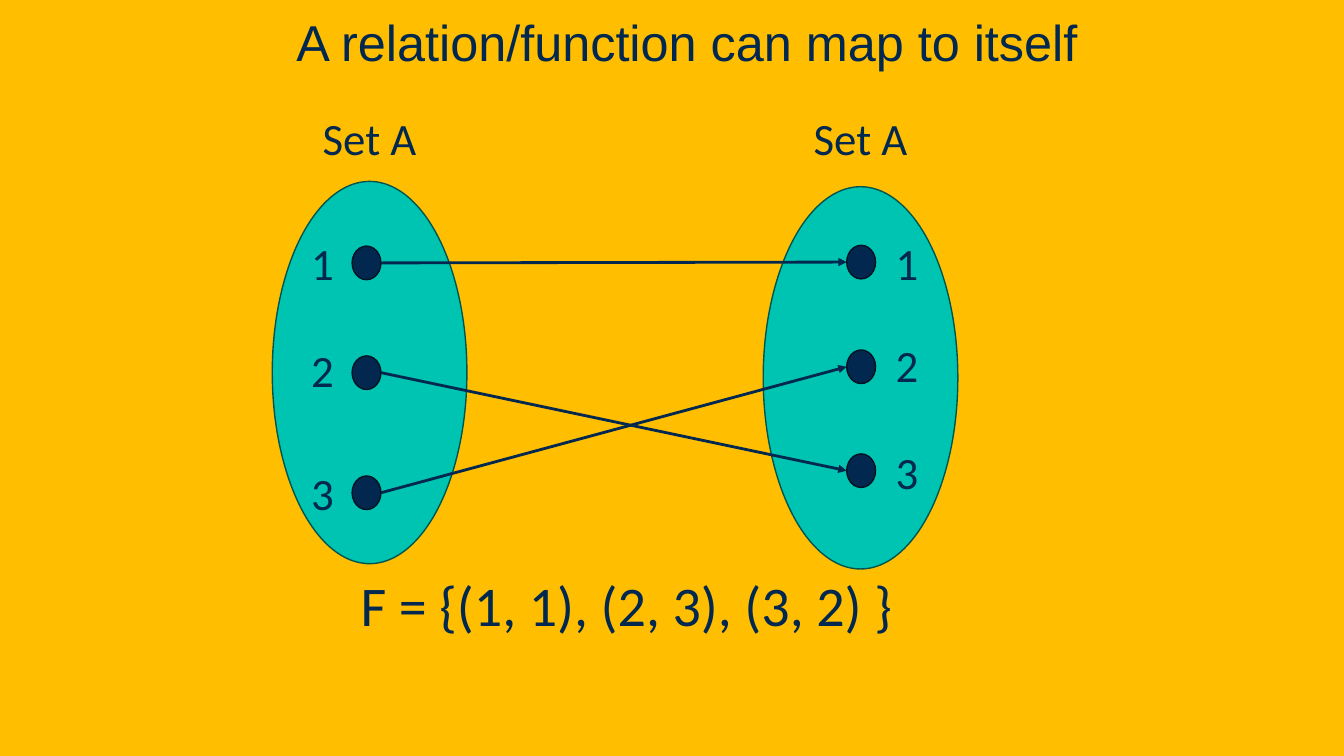
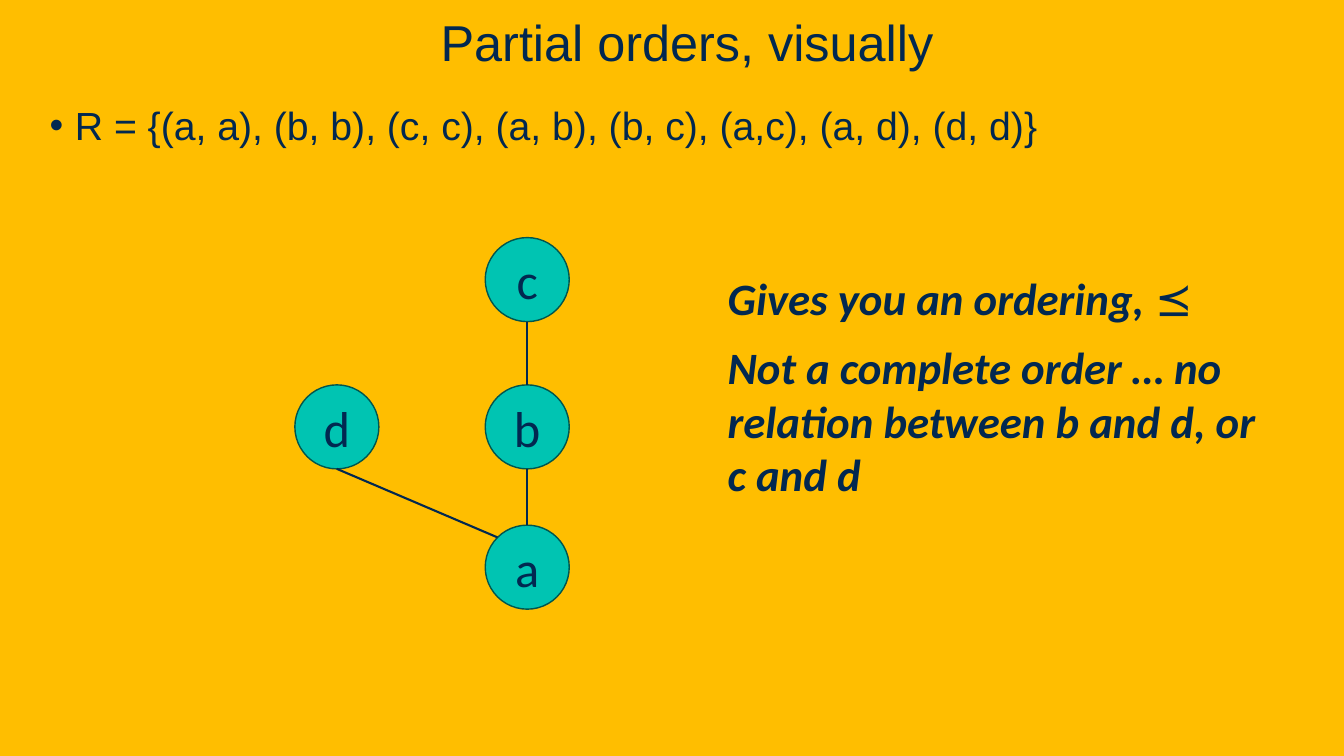
from math import sqrt

from lxml import etree
from pptx import Presentation
from pptx.dml.color import RGBColor
from pptx.enum import shapes, text
from pptx.oxml import ns
from pptx.util import Pt

COLORS = {
    "background": "FFBE00",
    "teal": "00C4B2",
    "teal_edge": "00564E",
    "navy": "022850",
    "navy_edge": "011223",
}
SLIDE_WIDTH, SLIDE_HEIGHT = 960, 540
DOT_WIDTH, DOT_HEIGHT = 20.6, 24
NODE_SIZE = 60


def color(name):
    return RGBColor.from_string(COLORS[name])


def style_paragraph(paragraph, size, font="Calibri", align=text.PP_ALIGN.CENTER):
    paragraph.alignment = align
    paragraph.font.size = Pt(size)
    paragraph.font.name = font
    paragraph.font.color.rgb = color("navy")


def add_text(slide, box, content, size, font="Calibri",
             align=text.PP_ALIGN.CENTER, anchor=text.MSO_ANCHOR.TOP):
    frame = slide.shapes.add_textbox(*map(Pt, box)).text_frame
    frame.word_wrap = True
    frame.vertical_anchor = anchor
    paragraph = frame.paragraphs[0]
    paragraph.add_run().text = content
    style_paragraph(paragraph, size, font, align)
    return paragraph


def set_indent(paragraph, margin, indent=0):
    properties = paragraph._p.get_or_add_pPr()
    properties.set("marL", str(Pt(margin)))
    properties.set("indent", str(Pt(indent)))
    return properties


def add_oval(slide, box, fill):
    shape = slide.shapes.add_shape(shapes.MSO_SHAPE.OVAL, *map(Pt, box))
    shape.shadow.inherit = False
    shape.fill.solid()
    shape.fill.fore_color.rgb = color(fill)
    shape.line.color.rgb = color(fill + "_edge")
    shape.line.width = Pt(1)
    return shape


def add_line(slide, start, end, width, arrow=False):
    connector = slide.shapes.add_connector(
        shapes.MSO_CONNECTOR.STRAIGHT, *map(Pt, (*start, *end)))
    connector.line.color.rgb = color("navy")
    connector.line.width = Pt(width)
    if arrow:
        etree.SubElement(connector.line._get_or_add_ln(), ns.qn("a:tailEnd"), type="triangle")
    etree.SubElement(connector._element.spPr, ns.qn("a:effectLst"))


def add_titled_slide(presentation, title):
    slide = presentation.slides.add_slide(presentation.slide_layouts[6])
    slide.background.fill.solid()
    slide.background.fill.fore_color.rgb = color("background")
    paragraph = add_text(slide, (0, 0, SLIDE_WIDTH, 54.7), title, 36, "Arial",
                         anchor=text.MSO_ANCHOR.BOTTOM)
    set_indent(paragraph, 21.6)
    return slide


def draw_set(slide, box, dot_offset, label_offset, members):
    left, top, width, height = box
    add_text(slide, (left, 75.2, width, 46), "Set A", 32)
    add_oval(slide, box, "teal")
    dots = {}
    for name, dot_top, label_top in members:
        x, y = left + dot_offset, top + dot_top
        add_oval(slide, (x, y, DOT_WIDTH, DOT_HEIGHT), "navy")
        add_text(slide, (left + label_offset, top + label_top, 31, 46), name, 32)
        dots[name] = x, y + DOT_HEIGHT / 2
    return dots


def draw_mapping(slide):
    sources = draw_set(slide, (194.5, 129.6, 139, 273), 57, 20.3,
                       [("1", 46.2, 35.3), ("2", 124.6, 111.6), ("3", 210.4, 199.4)])
    targets = draw_set(slide, (545.2, 133.4, 139, 273), 59.6, 87.2,
                       [("1", 41.8, 31.5), ("2", 116.6, 104.4), ("3", 190.8, 180.5)])
    for source, target in ("11", "23", "32"):
        x, y = sources[source]
        add_line(slide, (x + DOT_WIDTH, y), targets[target], 2, arrow=True)
    add_text(slide, (248.4, 404, 398, 55.5), "F = {(1, 1), (2, 3), (3, 2) }", 40)


def draw_relation(slide, box):
    paragraph = add_text(
        slide, box, "R = {(a, a), (b, b), (c, c), (a, b), (b, c), (a,c), (a, d), (d, d)}",
        28, "Arial", text.PP_ALIGN.LEFT)
    paragraph.line_spacing = 1.2
    paragraph.space_after = Pt(6)
    properties = set_indent(paragraph, 18, -18)
    bullet_font = etree.Element(ns.qn("a:buFont"), typeface="Arial")
    bullet = etree.Element(ns.qn("a:buChar"), char="•")
    defaults = properties.find(ns.qn("a:defRPr"))
    defaults.addprevious(bullet_font)
    defaults.addprevious(bullet)


def draw_order(slide, left, top):
    offsets = {"a": (136, 205.4), "b": (136, 105.2), "c": (136, 0), "d": (0, 105.2)}
    radius = NODE_SIZE / 2
    centers = {}
    for name, (x, y) in offsets.items():
        node = add_oval(slide, (left + x, top + y, NODE_SIZE, NODE_SIZE), "teal")
        frame = node.text_frame
        frame.vertical_anchor = text.MSO_ANCHOR.MIDDLE
        frame.paragraphs[0].add_run().text = name
        style_paragraph(frame.paragraphs[0], 36)
        centers[name] = left + x + radius, top + y + radius
    for lower, upper, shift in (("a", "b", 0), ("b", "c", 0), ("a", "d", radius / sqrt(2))):
        lower_x, lower_y = centers[lower]
        upper_x, upper_y = centers[upper]
        rise = sqrt(radius ** 2 - shift ** 2)
        add_line(slide, (lower_x - shift, lower_y - rise), (upper_x, upper_y + radius), 1.5)


def draw_remarks(slide, left, top, width):
    remarks = [
        (0, 46, "Gives you an ordering, ", "⪯"),
        (49, 124, "Not a complete order … no relation between b and d, or c and d", ""),
    ]
    for offset, height, remark, symbol in remarks:
        paragraph = add_text(slide, (left, top + offset, width, height), remark, 32,
                             align=text.PP_ALIGN.LEFT)
        paragraph.runs[0].font.bold = paragraph.runs[0].font.italic = True
        if symbol:
            paragraph.add_run().text = symbol


def main():
    presentation = Presentation()
    presentation.slide_width = Pt(SLIDE_WIDTH)
    presentation.slide_height = Pt(SLIDE_HEIGHT)

    draw_mapping(add_titled_slide(presentation, "A relation/function can map to itself"))

    order_slide = add_titled_slide(presentation, "Partial orders, visually")
    draw_relation(order_slide, (28.4, 62, 901, 411))
    draw_order(order_slide, 210.6, 169.7)
    draw_remarks(order_slide, 512.6, 190, 395)

    presentation.save("out.pptx")


if __name__ == "__main__":
    main()
